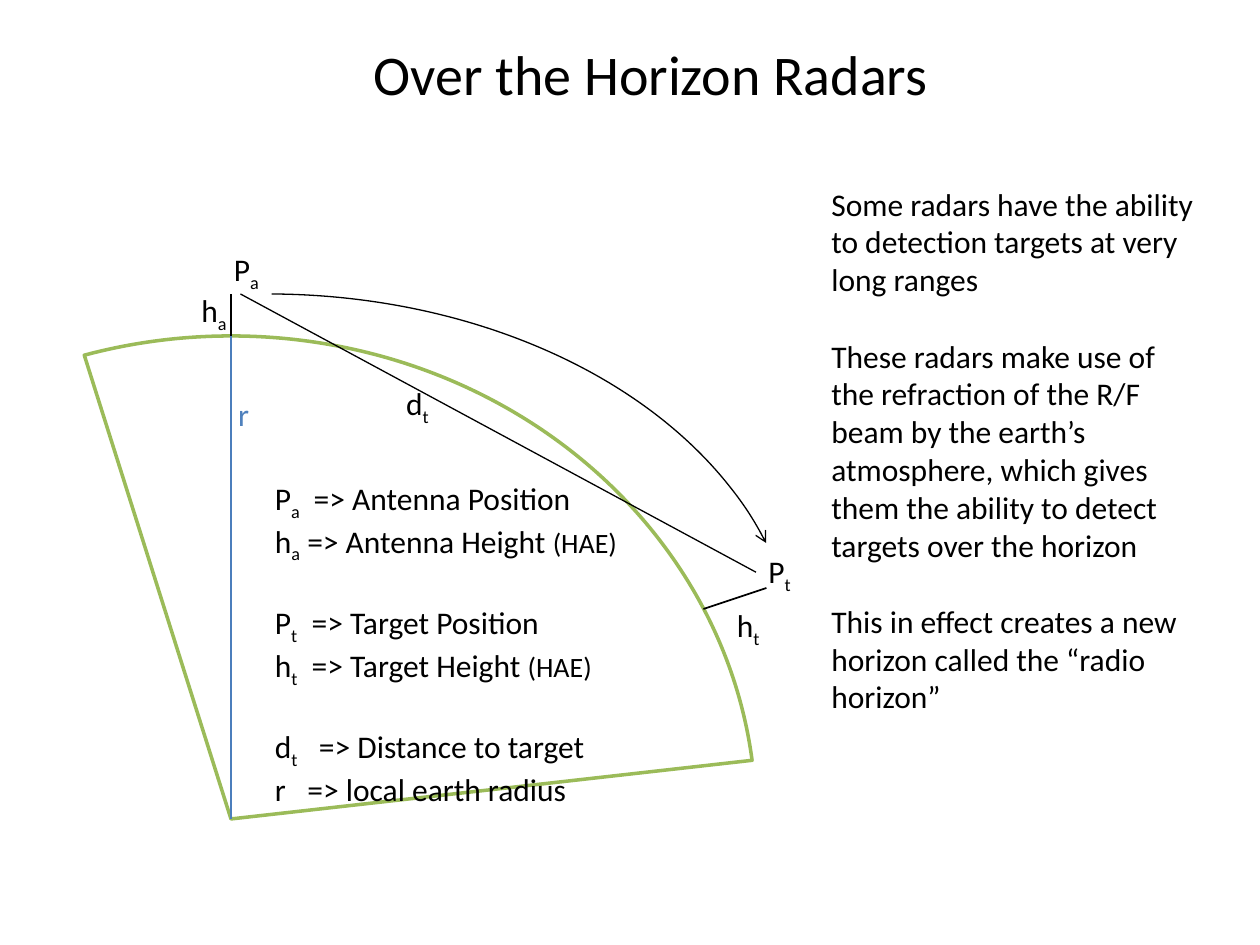
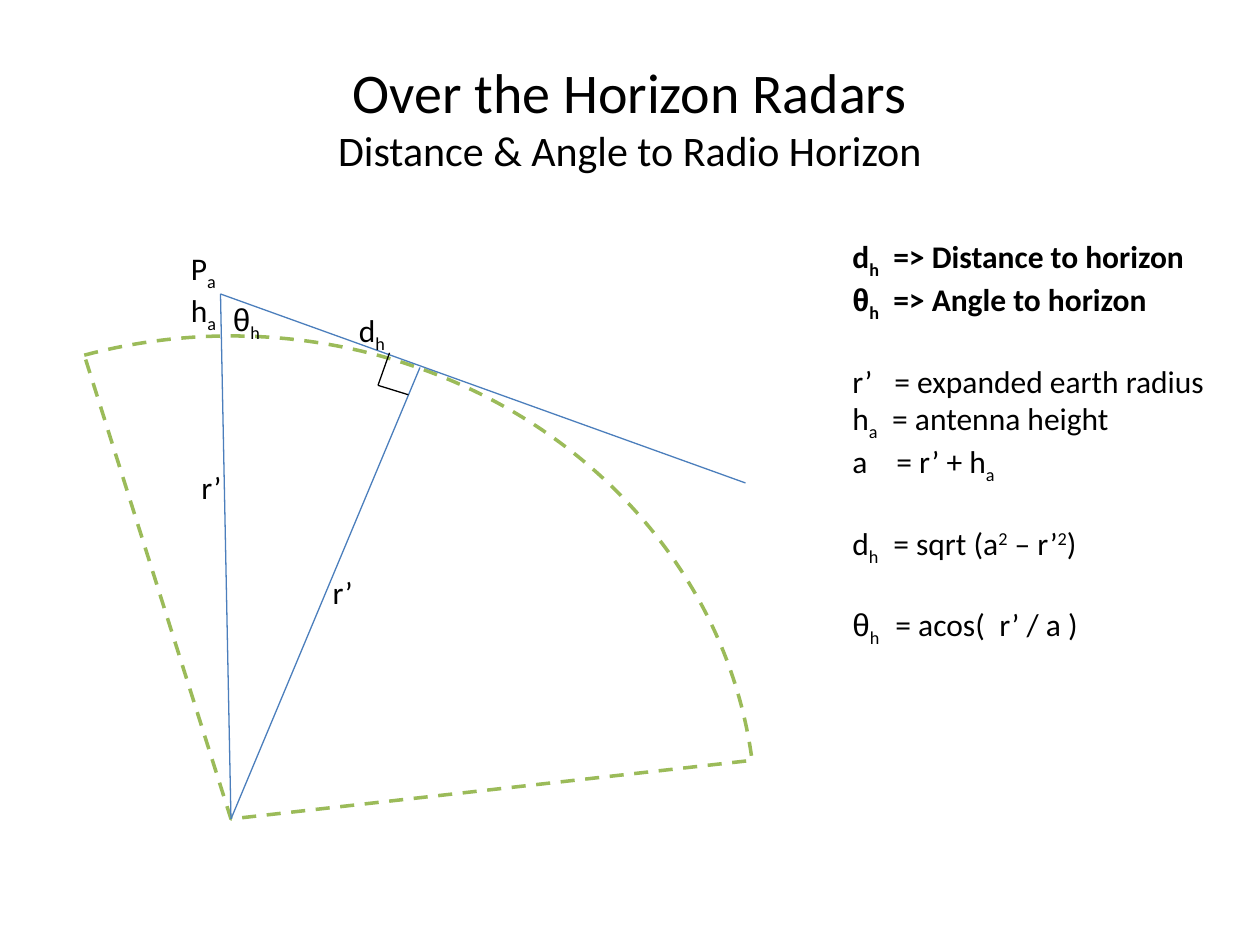
from lxml.etree import SubElement
from pptx import Presentation
from pptx.dml.color import RGBColor
from pptx.enum.dml import MSO_LINE
from pptx.enum.shapes import MSO_CONNECTOR, MSO_SHAPE
from pptx.enum.text import MSO_ANCHOR, MSO_AUTO_SIZE, PP_ALIGN
from pptx.oxml.ns import qn
from pptx.util import Pt

PX = 7620  # 120 px to the inch
BLACK = RGBColor(0x00, 0x00, 0x00)
EARTH_GREEN = RGBColor(0x9B, 0xBB, 0x59)
RADIUS_BLUE = RGBColor(0x4B, 0x7E, 0xBC)
LABEL_BLUE = RGBColor(0x4F, 0x81, 0xBD)
DEGREE = 0.6  # one degree in adjustment units
BLANK_LINE = Pt(22)
BASELINES = {"_": "-25000", "^": "30000"}


def add_text(slide, text, x, y, w, h, size=18, small=16, color=BLACK, wrap=False,
             title=False, bold_lines=0, tabs=()):
    """Runs are split by |; a run starts with _ (sub), ^ (super) or ~ (small)."""
    box = slide.shapes.add_textbox(x * PX, y * PX, w * PX, h * PX)
    frame = box.text_frame
    frame.word_wrap = wrap
    frame.auto_size = MSO_AUTO_SIZE.NONE if title else MSO_AUTO_SIZE.SHAPE_TO_FIT_TEXT
    frame.vertical_anchor = MSO_ANCHOR.MIDDLE if title else MSO_ANCHOR.TOP
    count, gap = 0, False
    for line in text.split("\n"):
        if not line:
            gap = True
            continue
        paragraph = frame.add_paragraph() if count else frame.paragraphs[0]
        paragraph.alignment = PP_ALIGN.CENTER if title else PP_ALIGN.LEFT
        if gap:
            paragraph.space_before = BLANK_LINE
        if count < len(tabs) and tabs[count]:
            tab_list = SubElement(paragraph._p.get_or_add_pPr(), qn("a:tabLst"))
            for stop in tabs[count]:
                SubElement(tab_list, qn("a:tab"), pos=str(stop * PX), algn="l")
        for piece in line.split("|"):
            mark = piece[0] if piece[0] in "_^~" else ""
            run = paragraph.add_run()
            run.text = piece[len(mark):]
            run.font.name = "Arial" if piece == "θ" else "Calibri"
            run.font.size = Pt(small if mark == "~" else size)
            run.font.bold = count < bold_lines
            run.font.color.rgb = color
            if mark in BASELINES:
                run._r.get_or_add_rPr().set("baseline", BASELINES[mark])
        count, gap = count + 1, False


def add_line(slide, x1, y1, x2, y2, color=BLACK, width=0.75):
    line = slide.shapes.add_connector(
        MSO_CONNECTOR.STRAIGHT, x1 * PX, y1 * PX, x2 * PX, y2 * PX)
    line.line.color.rgb = color
    line.line.width = Pt(width)
    SubElement(line._element.spPr, qn("a:effectLst"))


prs = Presentation()
prs.slide_width, prs.slide_height = 1200 * PX, 900 * PX
blank = prs.slide_layouts[6]
refraction = prs.slides.add_slide(blank)
horizon = prs.slides.add_slide(blank)

# Earth sector shared by both slides
for slide, dash in ((refraction, MSO_LINE.SOLID), (horizon, MSO_LINE.DASH)):
    earth = slide.shapes.add_shape(MSO_SHAPE.PIE, -280 * PX, 320 * PX, 1000 * PX, 920 * PX)
    earth.adjustments[0] = 252.45 * DEGREE
    earth.adjustments[1] = 353.58 * DEGREE
    earth.shadow.inherit = False
    earth.fill.background()
    earth.line.color.rgb = EARTH_GREEN
    earth.line.width = Pt(2)
    earth.line.dash_style = dash

# Slide 1: title, legend and explanation
add_text(refraction, "Over the Horizon Radars", 80, 30, 1080, 80,
         size=32, wrap=True, title=True)
add_text(refraction, """P|_a|\t=> Antenna Position
h|_a| => Antenna Height |~(HAE)

P|_t|\t=> Target Position
h|_t|\t=> Target Height |~(HAE)

d|_t|\t=> Distance to target
r\t=> local earth radius""", 250, 450, 360, 302, wrap=True,
         tabs=((37,), (), (35,), (35,), (42,), (31,)))
add_text(refraction, """Some radars have the ability to detection targets at very long ranges

These radars make use of the refraction of the R/F beam by the earth’s \
atmosphere, which gives them the ability to detect targets over the horizon

This in effect creates a new horizon called the “radio horizon”""",
         780, 170, 370, 703, wrap=True)

# Refracted beam, bending over the horizon
beam = refraction.shapes.add_shape(MSO_SHAPE.ARC, -250 * PX, 280 * PX, 1010 * PX, 720 * PX)
beam.adjustments[0] = 270.62 * DEGREE
beam.adjustments[1] = 345.49 * DEGREE
beam.shadow.inherit = False
beam.fill.background()
beam.line.color.rgb = BLACK
beam.line.width = Pt(0.75)
SubElement(beam.line._get_or_add_ln(), qn("a:tailEnd"), type="arrow")

# Direct path, antenna height, target height, earth radius
add_line(refraction, 229, 280, 720, 545)
add_line(refraction, 220, 320, 220, 280, width=1)
add_line(refraction, 670, 580, 730, 560, width=1)
add_line(refraction, 220, 780, 220, 320, color=RADIUS_BLUE)

for label, x, y, w in (("P|_a", 211, 232, 49), ("P|_t", 720, 520, 47),
                       ("h|_a", 180, 271, 50), ("h|_t", 690, 571, 47),
                       ("d|_t", 375, 360, 47)):
    add_text(refraction, label, x, y, w, 48)
add_text(refraction, "r", 215, 370, 35, 48, color=LABEL_BLUE)

# Slide 2: title and formulas
add_text(horizon, "Over the Horizon Radars\n~Distance & Angle to Radio Horizon",
         60, 36, 1080, 150, size=32, small=24, wrap=True, title=True)
add_text(horizon, """d|_h|\t=> Distance to horizon
θ|_h|\t=> Angle to horizon

r’\t= expanded earth radius
h|_a|\t= antenna height
a\t= r’ + h|_a

d|_h|\t= sqrt (a|^2| – r’|^2|)

θ|_h|\t= acos(\tr’ / a )""", 800, 220, 360, 521, wrap=True, bold_lines=2,
         tabs=((39,), (39,), (40,), (38,), (42,), (39,), (41, 140)))

# Triangle from earth centre to antenna and tangent point
add_line(horizon, 220, 780, 210, 280, color=RADIUS_BLUE)
add_line(horizon, 210, 280, 710, 460, color=RADIUS_BLUE)
add_line(horizon, 400, 350, 220, 780, color=RADIUS_BLUE)

# Right-angle mark
add_line(horizon, 389, 376, 360, 367)
add_line(horizon, 360, 367, 371, 336)

for label, x, y, w in (("P|_a", 170, 231, 49), ("h|_a", 170, 271, 50),
                       ("θ|_h", 210, 280, 50), ("d|_h", 330, 290, 50),
                       ("r’", 180, 440, 43), ("r’", 305, 540, 43)):
    add_text(horizon, label, x, y, w, 48)

prs.save("out.pptx")
